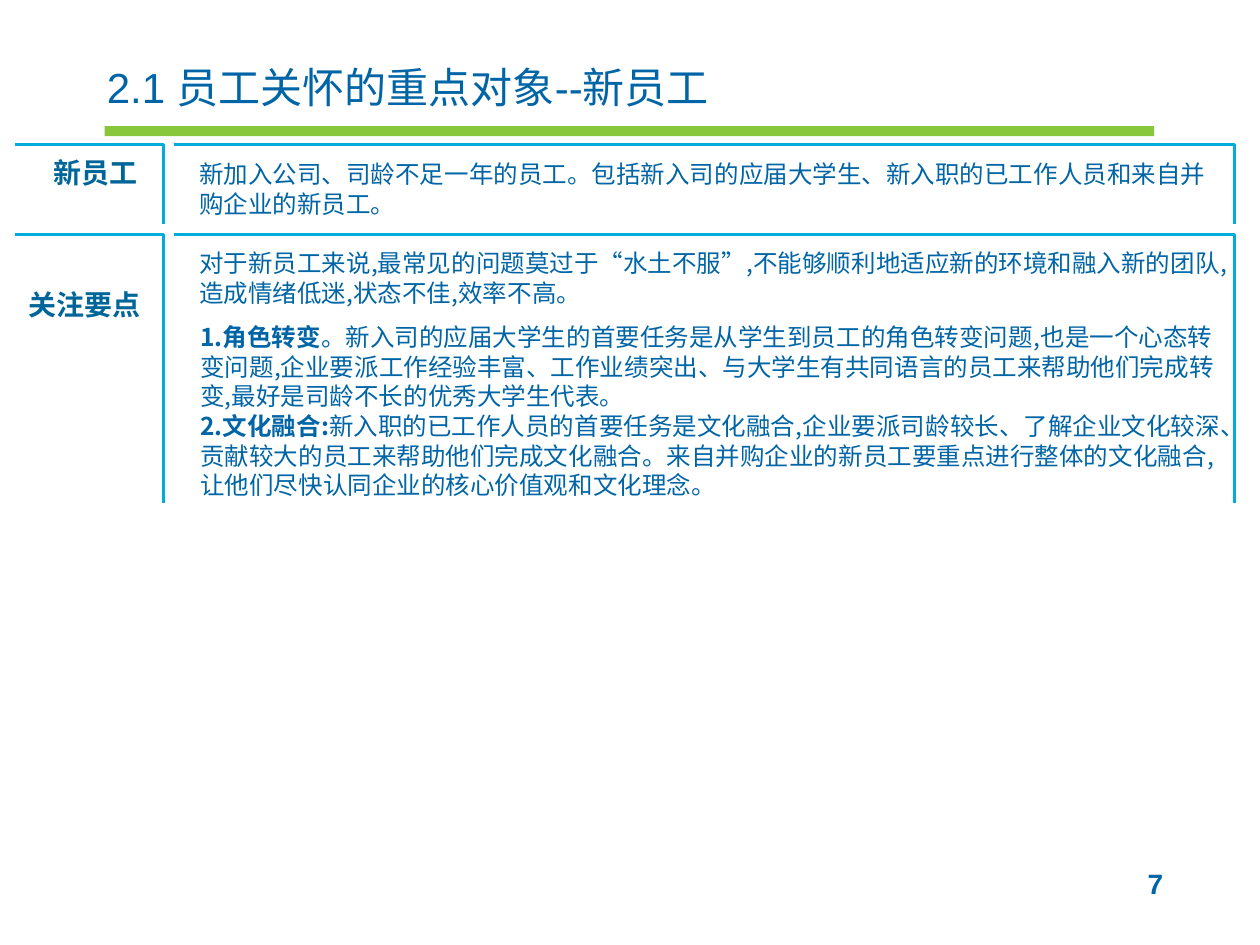
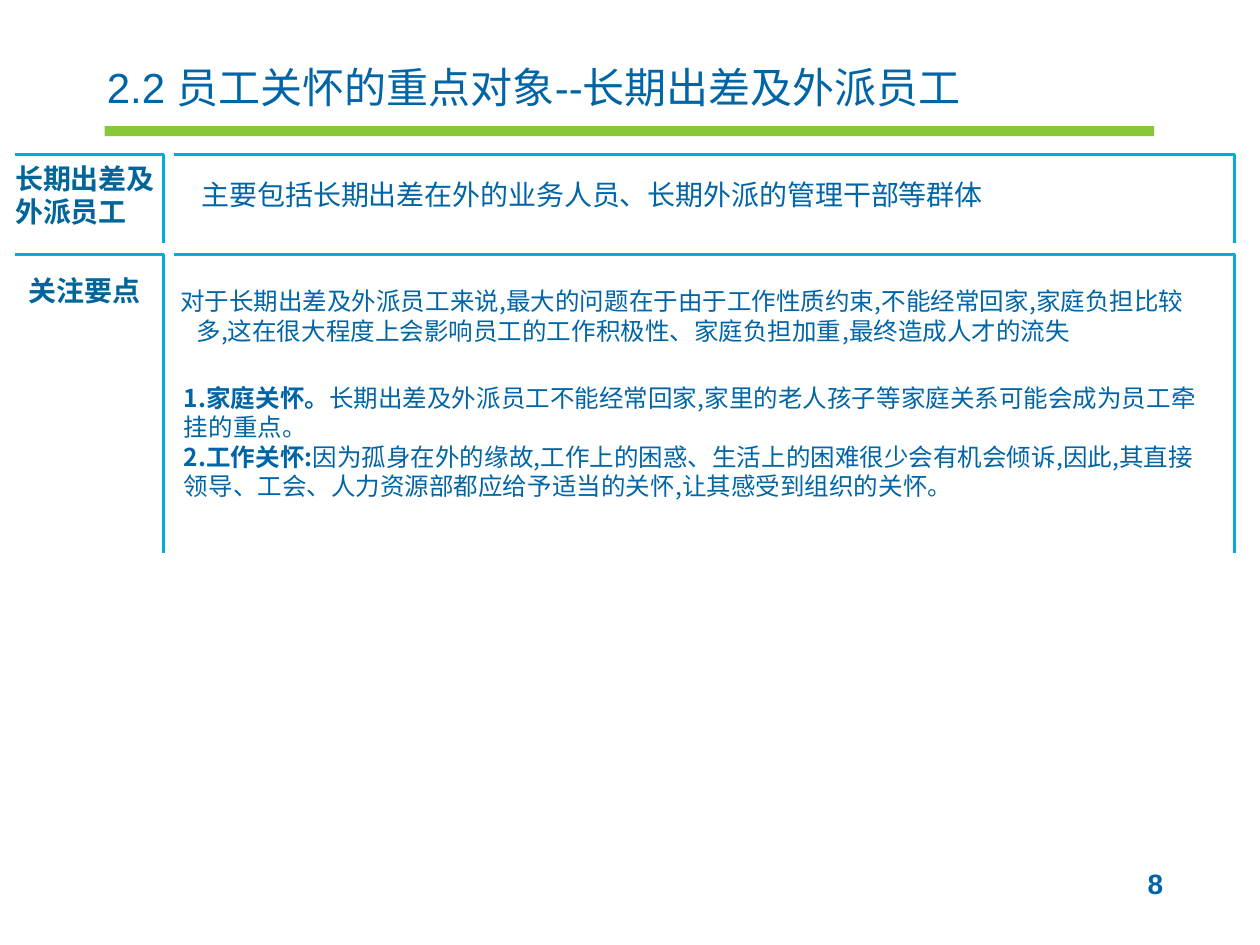
from pptx import Presentation
from pptx.dml.color import RGBColor
from pptx.enum.shapes import MSO_SHAPE
from pptx.enum.text import MSO_ANCHOR, PP_ALIGN
from pptx.oxml.ns import qn
from pptx.util import Inches, Pt

BLUE, LABEL_BLUE, CYAN, GREEN = "0065A6", "006699", "00ADDA", "88C63A"
LATIN, CHINESE = "Arial", "Noto Sans CJK SC"
LABEL_COLUMN, CONTENT_COLUMN = (0.12, 1.18), (1.38, 8.42)


def color(value):
    """Turn a hex string into a colour."""
    return RGBColor.from_string(value)


def format_span(span, size, tone, bold=False, font=CHINESE):
    """Set size, colour, weight and both typefaces of a run."""
    span.font.size = Pt(size)
    span.font.bold = bold
    span.font.color.rgb = color(tone)
    span.font.name = font
    properties = span.font._element
    east_asian = properties.makeelement(qn("a:ea"), {"typeface": CHINESE})
    properties.find(qn("a:latin")).addnext(east_asian)


def add_heading(page, box, text, size, bold=False, align=PP_ALIGN.LEFT):
    """Place a title or a page number in a box with normal margins."""
    frame = page.shapes.add_textbox(*map(Inches, box)).text_frame
    frame.word_wrap = True
    frame.text = text
    para = frame.paragraphs[0]
    para.alignment = align
    format_span(para.runs[0], size, BLUE, bold, LATIN)


def add_text(page, box, paragraphs, size=14, tone=BLUE, align=PP_ALIGN.LEFT,
             indent=(0, 0)):
    """Place paragraphs of (bold lead, plain rest) centred vertically in a box."""
    frame = page.shapes.add_textbox(*map(Inches, box)).text_frame
    frame.word_wrap = True
    frame.vertical_anchor = MSO_ANCHOR.MIDDLE
    frame.margin_left = frame.margin_right = 0
    frame.margin_top = frame.margin_bottom = 0
    for number, parts in enumerate(paragraphs):
        para = frame.add_paragraph() if number else frame.paragraphs[0]
        para.alignment = align
        para.line_spacing = Pt(size * 1.21)
        properties = para._p.get_or_add_pPr()
        properties.set("marL", str(Inches(indent[0])))
        properties.set("indent", str(Inches(indent[1])))
        for text, bold in zip(parts, (True, False)):
            if text:
                span = para.add_run()
                span.text = text
                format_span(span, size, tone, bold)


def add_label(page, box, text, align=PP_ALIGN.LEFT):
    """Place the bold name of a row."""
    add_text(page, box, [(text, "")], 16, LABEL_BLUE, align)


def add_row_frame(page, top, height):
    """Draw the open top-right corner around both columns of a row."""
    for left, width in (LABEL_COLUMN, CONTENT_COLUMN):
        right, bottom = Inches(left + width), Inches(top + height)
        builder = page.shapes.build_freeform(Inches(left), Inches(top))
        builder.add_line_segments([(right, Inches(top)), (right, bottom)],
                                  close=False)
        corner = builder.convert_to_shape()
        corner.shadow.inherit = False
        corner.fill.background()
        corner.line.color.rgb = color(CYAN)
        corner.line.width = Pt(1.76)


def add_page(deck, title, number):
    """Add a slide with title, green band and page number."""
    page = deck.slides.add_slide(deck.slide_layouts[6])
    band = page.shapes.add_shape(MSO_SHAPE.RECTANGLE, Inches(0.83), Inches(1),
                                 Inches(8.33), Inches(0.08))
    band.shadow.inherit = False
    band.fill.solid()
    band.fill.fore_color.rgb = color(GREEN)
    band.line.fill.background()
    add_heading(page, (0.75, 0.44, 8.19, 0.69), title, 24)
    add_heading(page, (7, 6.83, 2.33, 0.52), str(number), 16, True,
                PP_ALIGN.RIGHT)
    return page


def build_new_staff(deck):
    """Build the slide about new employees."""
    page = add_page(deck, "2.1 员工关怀的重点对象--新员工".replace("-", "-"), 7)
    add_row_frame(page, 1.15, 0.63)
    add_label(page, (0.23, 1.23, 1.05, 0.27), "新员工", PP_ALIGN.CENTER)
    add_text(page, (1.38, 1.26, 8.35, 0.47), [
        ("", "新加入公司、司龄不足一年的员工。包括新入司的应届大学生、"
             "新入职的已工作人员和来自并购企业的新员工。")], indent=(0.2, 0))
    add_row_frame(page, 1.86, 2.13)
    add_label(page, (0.23, 2.28, 1.05, 0.27), "关注要点")
    add_text(page, (1.38, 1.97, 8.35, 0.47), [
        ("", "对于新员工来说,最常见的问题莫过于“水土不服”,"
             "不能够顺利地适应新的环境和融入新的团队,造成情绪低迷,"
             "状态不佳,效率不高。".replace(",", ","))], indent=(0.2, 0))
    add_text(page, (1.59, 2.56, 8.12, 1.4), [
        ("1.角色转变", "。新入司的应届大学生的首要任务是从学生到员工的角色转变问题,"
         "也是一个心态转变问题,企业要派工作经验丰富、工作业绩突出、"
         "与大学生有共同语言的员工来帮助他们完成转变,"
         "最好是司龄不长的优秀大学生代表。"),
        ("2.文化融合:", "新入职的已工作人员的首要任务是文化融合,"
         "企业要派司龄较长、了解企业文化较深、贡献较大的员工来帮助他们完成文化融合。"
         "来自并购企业的新员工要重点进行整体的文化融合,"
         "让他们尽快认同企业的核心价值观和文化理念。")])


def build_travelling_staff(deck):
    """Build the slide about travelling and posted employees."""
    page = add_page(deck, "2.2 员工关怀的重点对象--长期出差及外派员工", 8)
    add_row_frame(page, 1.23, 0.7)
    add_label(page, (0.12, 1.28, 1.15, 0.53), "长期出差及外派员工")
    add_text(page, (1.59, 1.41, 8.12, 0.27), [
        ("", "主要包括长期出差在外的业务人员、长期外派的管理干部等群体")],
        16, indent=(0.2, -0.19))
    add_row_frame(page, 2.02, 2.37)
    add_label(page, (0.23, 2.17, 1.05, 0.27), "关注要点")
    add_text(page, (1.38, 2.27, 8.03, 0.47), [
        ("", "对于长期出差及外派员工来说,最大的问题在于由于工作性质约束,"
             "不能经常回家,家庭负担比较多,这在很大程度上会影响员工的工作积极性、"
             "家庭负担加重,最终造成人才的流失")], indent=(0.18, -0.13))
    add_text(page, (1.46, 3.04, 8.12, 0.93), [
        ("1.家庭关怀。", "长期出差及外派员工不能经常回家,"
         "家里的老人孩子等家庭关系可能会成为员工牵挂的重点。"),
        ("2.工作关怀:", "因为孤身在外的缘故,工作上的困惑、"
         "生活上的困难很少会有机会倾诉,因此,其直接领导、工会、"
         "人力资源部都应给予适当的关怀,让其感受到组织的关怀。")])


deck = Presentation()
deck.slide_width, deck.slide_height = Inches(10), Inches(7.5)
build_new_staff(deck)
build_travelling_staff(deck)
deck.save("out.pptx")
